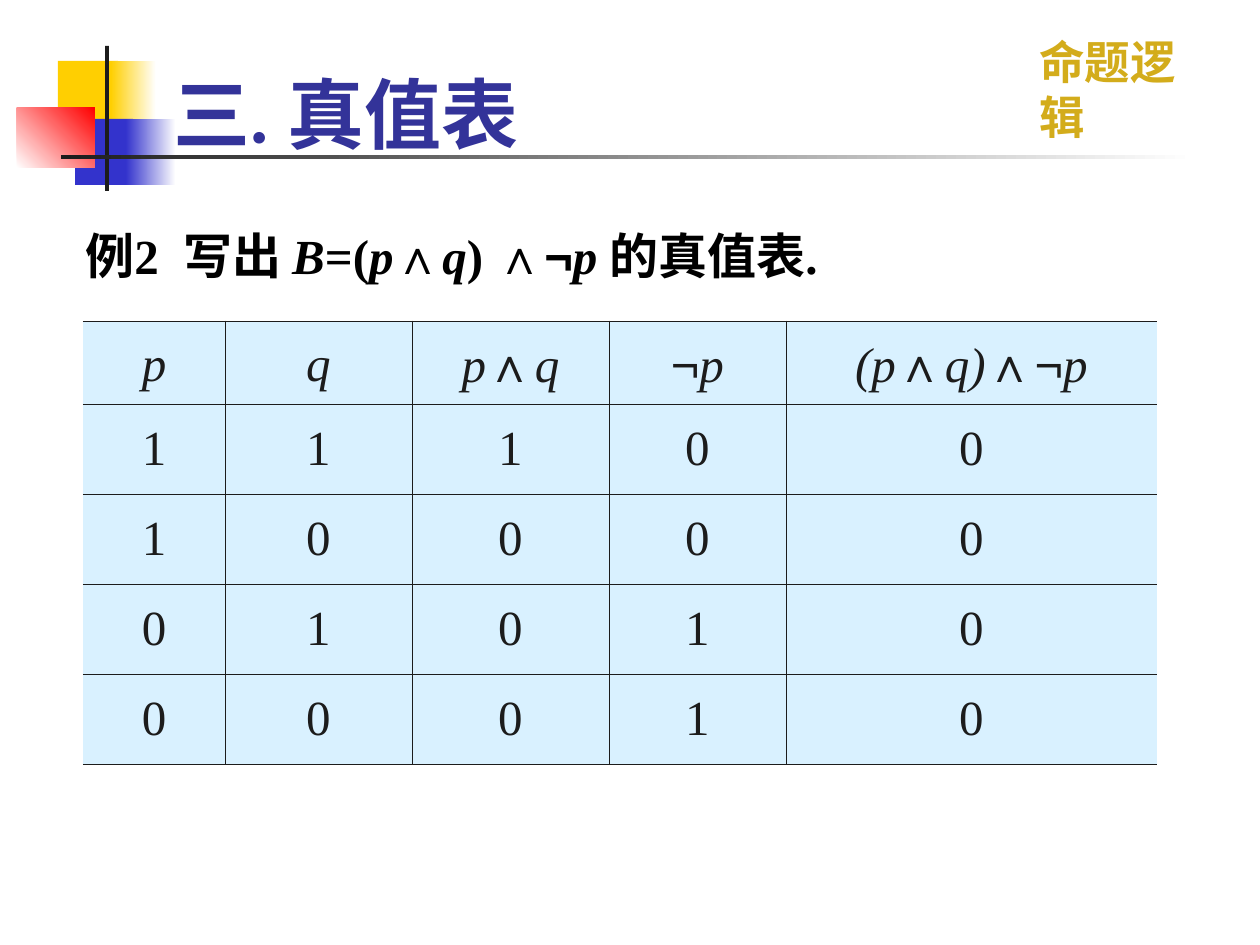
from lxml import etree
from pptx import Presentation
from pptx.dml.color import RGBColor
from pptx.enum.shapes import MSO_SHAPE
from pptx.enum.text import MSO_ANCHOR, PP_ALIGN
from pptx.oxml import parse_xml
from pptx.oxml.ns import qn
from pptx.util import Pt

RECT = MSO_SHAPE.RECTANGLE
BOTTOM, TOP = MSO_ANCHOR.BOTTOM, MSO_ANCHOR.TOP
CENTER = PP_ALIGN.CENTER
SCALE = 914400 / 126
SERIF, SANS, SIGN = "Times New Roman", "Lato", "Arial"
INK, WHITE, GOLD, BLUE = "1C1C1C", "FFFFFF", "FFCF01", "3333CC"
NS = "http://schemas.openxmlformats.org/drawingml/2006/main"


def px(n):
    return round(n * SCALE)


def rgb(code):
    return RGBColor.from_string(code)


def add_run(par, text, size, color, font=SERIF, bold=False, italic=False):
    run = par.add_run()
    run.text = text
    face = run.font
    face.name, face.size = font, Pt(size)
    face.bold, face.italic = bold, italic
    face.color.rgb = rgb(color)
    return run


def add_logic(par, parts, size, color, bold=False):
    """Write formula parts; the logic signs take the sans font."""
    for text, italic in parts:
        font = SIGN if text[0] in "∧¬" else SERIF
        add_run(par, text, size, color, font, bold, italic)


def add_box(slide, x, y, w, h, wrap=True, anchor=TOP):
    box = slide.shapes.add_textbox(px(x), px(y), px(w), px(h))
    frame = box.text_frame
    frame.word_wrap = wrap
    frame.vertical_anchor = anchor
    return frame.paragraphs[0]


def add_block(slide, x, y, w, h, start, end=None, angle=0):
    block = slide.shapes.add_shape(RECT, px(x), px(y), px(w), px(h))
    block.shadow.inherit = False
    block.line.fill.background()
    if end is None:
        block.fill.solid()
        block.fill.fore_color.rgb = rgb(start)
        return
    block.fill.gradient()
    block.fill.gradient_angle = angle
    for stop, color in zip(block.fill.gradient_stops, (start, end)):
        stop.color.rgb = rgb(color)


def add_motif(slide, x, y):
    """Coloured squares with the crossing bars."""
    add_block(slide, x + 41, y + 15, 60, 66, GOLD)
    add_block(slide, x + 94, y + 15, 45, 66, GOLD, WHITE)
    add_block(slide, x + 58, y + 73, 58, 66, BLUE)
    add_block(slide, x + 109, y + 73, 50, 66, BLUE, WHITE)
    add_block(slide, x, y + 62, 78, 60, WHITE, "FF0000", 45)
    add_block(slide, x + 88, y, 4, 145, INK)
    add_block(slide, x + 44, y + 109, 1134, 4, INK, WHITE)


def add_title(slide, x, y, w, h):
    par = add_box(slide, x, y, w, h, anchor=BOTTOM)
    run = add_run(par, "三. 真值表", 44, "333399", SANS, bold=True)
    shade = parse_xml(
        f'<a:effectLst xmlns:a="{NS}"><a:outerShdw dist="25400" dir="2700000">'
        '<a:srgbClr val="000000"/></a:outerShdw></a:effectLst>')
    run.font.fill  # the shadow follows the colour
    run.font.color.rgb = rgb("333399")
    fill = run._r.rPr.find(qn("a:solidFill"))
    fill.addnext(shade)


def add_topic(slide, x, y, w, h):
    par = add_box(slide, x, y, w, h, wrap=False)
    add_run(par, "命题逻辑", 26, "D3AC1B", SANS, bold=True)


def add_task(slide, x, y, w, h):
    par = add_box(slide, x, y, w, h)
    props = par._p.get_or_add_pPr()
    props.set("marL", str(px(48)))
    props.set("indent", str(-px(48)))
    parts = [("例2  写出 ", False), ("B", True), ("=(", False), ("p", True),
             ("∧", False), ("q", True), (") ", False), ("∧¬", False),
             ("p ", True), ("的真值表.", False)]
    add_logic(par, parts, 28, "000000", bold=True)


def set_edge(cell, side, shown):
    line = etree.SubElement(cell._tc.get_or_add_tcPr(), qn(f"a:ln{side}"), w=str(Pt(0.45)))
    if shown:
        fill = etree.SubElement(line, qn("a:solidFill"))
        etree.SubElement(fill, qn("a:srgbClr"), val=INK)
    else:
        etree.SubElement(line, qn("a:noFill"))


def add_truth(slide, x, y, cols, rows):
    """Truth table, open at its left and right sides."""
    heads = [["p"], ["q"], ["p", "∧", "q"], ["¬", "p"], ["(p", "∧", "q)", "∧¬", "p"]]
    values = ["11100", "10000", "01010", "00010"]
    lines = [heads] + [[[digit] for digit in line] for line in values]
    frame = slide.shapes.add_table(len(rows), len(cols), px(x), px(y),
                                   px(sum(cols)), px(sum(rows)))
    table = frame.table
    table.first_row = table.horz_banding = False
    for col, width in zip(table.columns, cols):
        col.width = px(width)
    last = len(cols) - 1
    for r, line in enumerate(lines):
        table.rows[r].height = px(rows[r])
        for c, parts in enumerate(line):
            cell = table.cell(r, c)
            for side, shown in zip("LRTB", (c > 0, c < last, True, True)):
                set_edge(cell, side, shown)
            cell.fill.solid()
            cell.fill.fore_color.rgb = rgb("D9F1FF")
            par = cell.text_frame.paragraphs[0]
            par.alignment = CENTER
            par.line_spacing = 1.2
            add_logic(par, [(part, r == 0) for part in parts], 28, INK)


def main():
    deck = Presentation()
    deck.slide_width, deck.slide_height = px(1260), px(945)
    slide = deck.slides.add_slide(deck.slide_layouts[6])
    add_motif(slide, 17, 46)
    add_topic(slide, 1027, 28, 207, 68)
    add_task(slide, 73, 219, 1114, 92)
    add_truth(slide, 83, 321, [142, 187, 197, 177, 371], [83] + [90] * 4)
    add_title(slide, 161, 8, 1134, 157)
    deck.save("out.pptx")


if __name__ == "__main__":
    main()
